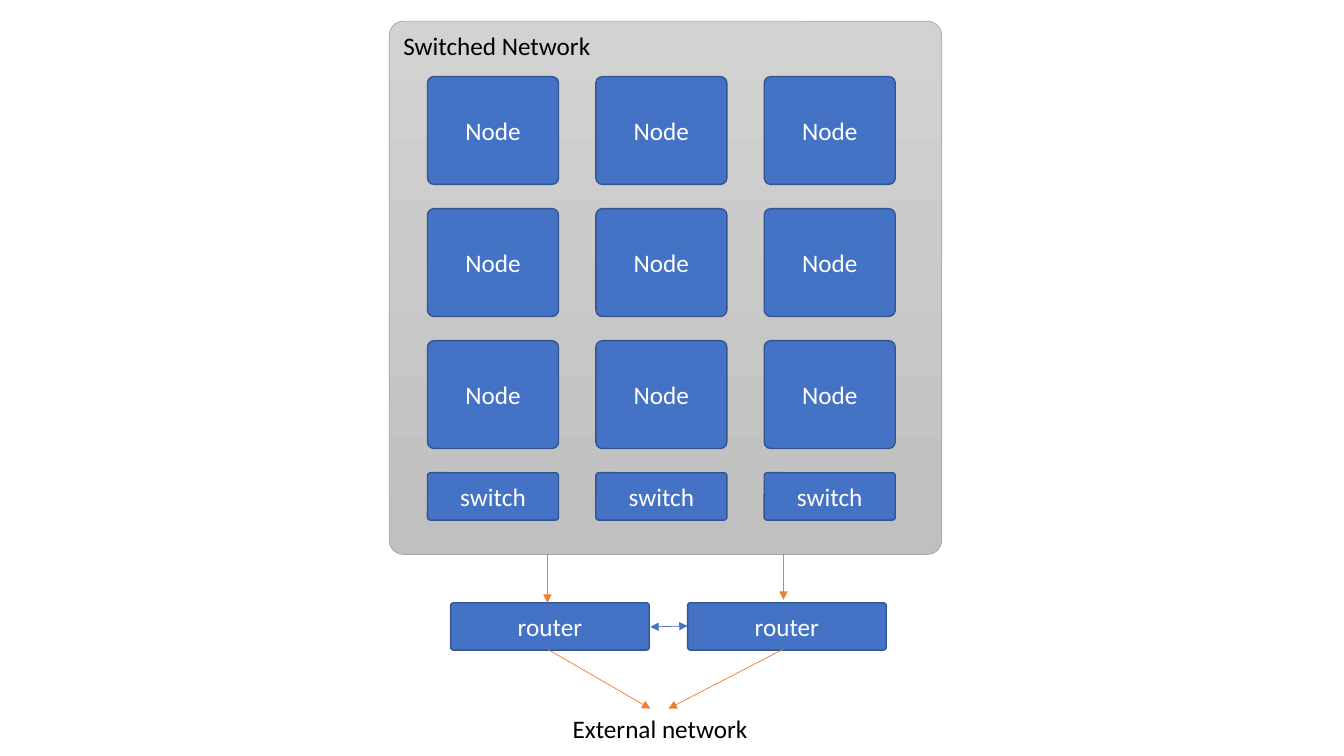
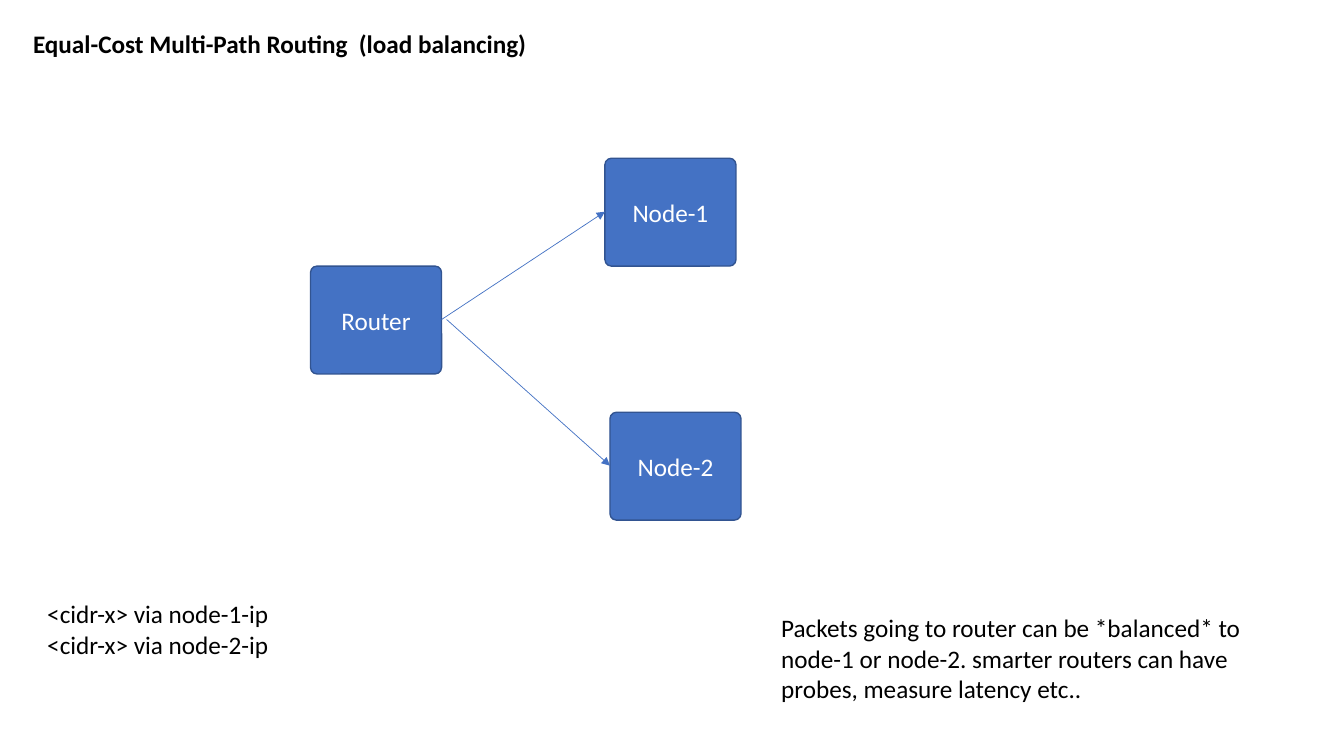
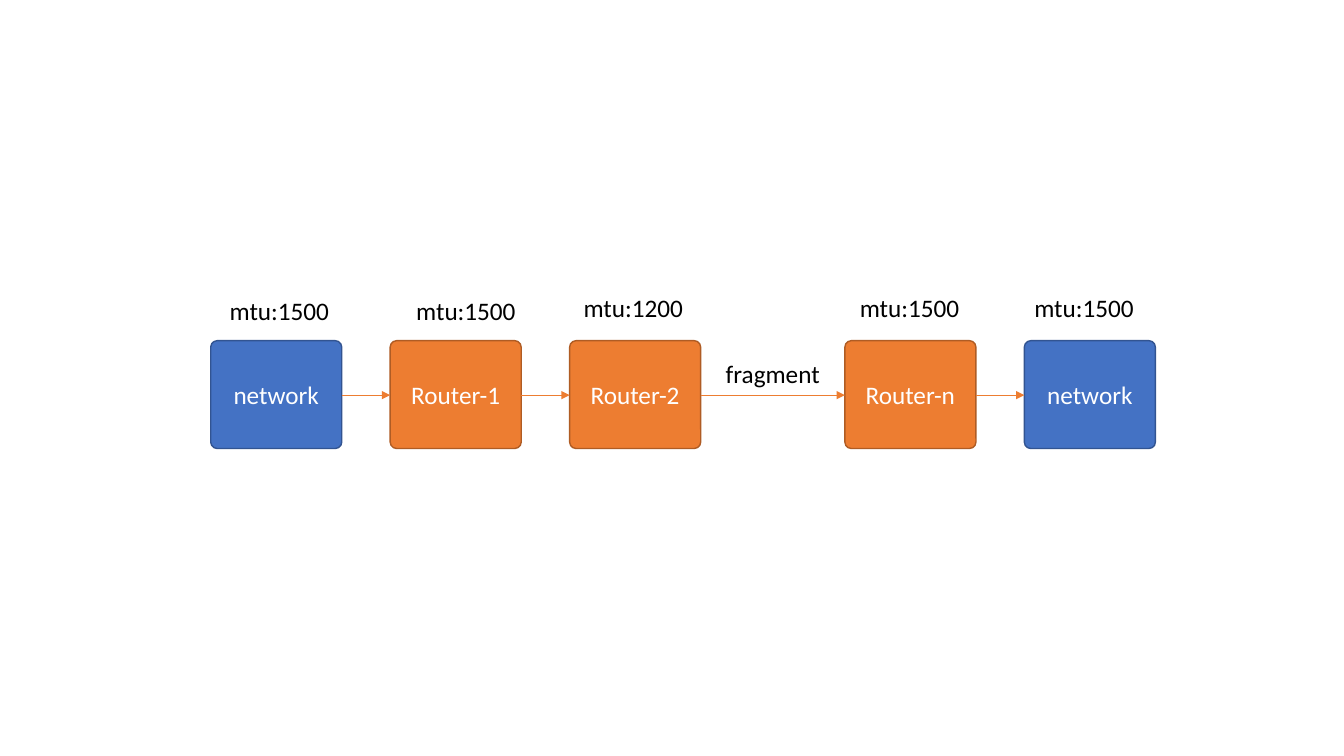
"""Build three slides on switched networks, multi-path routing and MTU."""
from lxml import etree
from pptx import Presentation
from pptx import util as u
from pptx.dml import color
from pptx.enum import shapes, text
from pptx.oxml import ns

rgb = color.RGBColor.from_string
BLUE, ORANGE = "4472C4", "ED7D31"
EDGES = {BLUE: "325491", ORANGE: "AF5C24"}
WIDE, HIGH, LOW = 1.3, 1.07, 0.47
LINE = 0.4


def put(slide, words, x, y, w, h, fill=None, wrap=True, bold=False):
    """Add a filled rounded box, or a plain text box when no fill is given."""
    area = [u.Inches(v) for v in (x, y, w, h)]
    if fill:
        item = slide.shapes.add_shape(shapes.MSO_SHAPE.ROUNDED_RECTANGLE, *area)
        item.adjustments[0] = 0.06
        item.shadow.inherit = False
        item.fill.solid()
        item.fill.fore_color.rgb = rgb(fill)
        item.line.color.rgb = rgb(EDGES[fill])
        item.line.width = u.Pt(1)
        item.text_frame.vertical_anchor = text.MSO_ANCHOR.MIDDLE
    else:
        item = slide.shapes.add_textbox(*area)
        item.text_frame.auto_size = text.MSO_AUTO_SIZE.SHAPE_TO_FIT_TEXT
    frame = item.text_frame
    frame.word_wrap = wrap
    frame.text = words
    for para in frame.paragraphs:
        para.alignment = text.PP_ALIGN.CENTER if fill else text.PP_ALIGN.LEFT
        para.font.name = "Calibri"
        para.font.size = u.Pt(18)
        para.font.bold = bold
        para.font.color.rgb = rgb("FFFFFF" if fill else "000000")
    return item


def link(slide, start, end, hue, ends=("tailEnd",)):
    """Join two points with a thin arrow."""
    points = [u.Inches(v) for v in (*start, *end)]
    wire = slide.shapes.add_connector(shapes.MSO_CONNECTOR.STRAIGHT, *points)
    wire.line.color.rgb = rgb(hue)
    wire.line.width = u.Pt(0.5)
    props = wire.element.spPr
    for tip in ends:
        etree.SubElement(props.get_or_add_ln(), ns.qn("a:" + tip), type="triangle")
    etree.SubElement(props, ns.qn("a:effectLst"))


deck = Presentation()
deck.slide_width, deck.slide_height = u.Inches(13.33), u.Inches(7.5)
net, paths, chain = [deck.slides.add_slide(deck.slide_layouts[6]) for _ in range(3)]

panel = put(net, "Switched Network", 3.86, 0.21, 5.48, 5.29, BLUE)
panel.adjustments[0] = 0.027
panel.fill.gradient()
panel.fill.gradient_angle = 270
for stop, hue in zip(panel.fill.gradient_stops, ("D2D2D2", "C0C0C0")):
    stop.color.rgb = rgb(hue)
panel.line.color.rgb = rgb("A5A5A5")
panel.line.width = u.Pt(0.5)
panel.text_frame.vertical_anchor = text.MSO_ANCHOR.TOP
title = panel.text_frame.paragraphs[0]
title.alignment = text.PP_ALIGN.LEFT
title.font.color.rgb = rgb("000000")

for row in range(4):
    name, tall = ("Node", HIGH) if row < 3 else ("switch", LOW)
    for col in range(3):
        put(net, name, 4.24 + 1.67 * col, 0.76 + 1.31 * row, WIDE, tall, BLUE)
for left, mid, foot, goal in ((4.47, 5.43, 5.98, 6.45), (6.82, 7.77, 5.95, 6.63)):
    put(net, "router", left, 5.98, 1.97, LOW, BLUE)
    link(net, (mid, 5.5), (mid, foot), ORANGE)
    link(net, (mid, 6.44), (goal, 7.03), ORANGE)
link(net, (6.45, 6.22), (6.82, 6.21), BLUE, ("headEnd", "tailEnd"))
put(net, "External network", 5.58, 7.03, 1.95, LINE, wrap=False)

put(paths, "Equal-Cost Multi-Path Routing  (load balancing)",
    0.23, 0.23, 5.14, LINE, wrap=False, bold=True)
for name, x, y in (("Router", 3.08, 2.64), ("Node-1", 6, 1.57), ("Node-2", 6.05, 4.09)):
    put(paths, name, x, y, WIDE, HIGH, BLUE)
link(paths, (4.38, 3.17), (6, 2.1), BLUE)
link(paths, (4.43, 3.17), (6.05, 4.62), BLUE)
put(paths, "Packets going to router can be *balanced* to node-1 or node-2. "
    "smarter routers can have probes, measure latency etc..", 7.65, 6.03, 4.97, 1.01)
put(paths, "<cidr-x> via node-1-ip\n<cidr-x> via node-2-ip", 0.37, 5.89, 3.55, 0.71)

hops = (
    ("network", 2.09, BLUE, "mtu:1500", 2.18, 2.88),
    ("Router-1", 3.87, ORANGE, "mtu:1500", 4.03, 2.88),
    ("Router-2", 5.65, ORANGE, "mtu:1200", 5.69, 2.85),
    ("Router-n", 8.38, ORANGE, "mtu:1500", 8.43, 2.85),
    ("network", 10.16, BLUE, "mtu:1500", 10.16, 2.85),
)
for name, x, fill, size, left, top in hops:
    put(chain, name, x, 3.38, WIDE, HIGH, fill)
    put(chain, size, left, top, 1.2, LINE, wrap=False)
for hop, after in zip(hops, hops[1:]):
    link(chain, (hop[1] + WIDE, 3.92), (after[1], 3.92), ORANGE)
put(chain, "fragment", 7.1, 3.51, 1.14, LINE, wrap=False)

deck.save("out.pptx")
